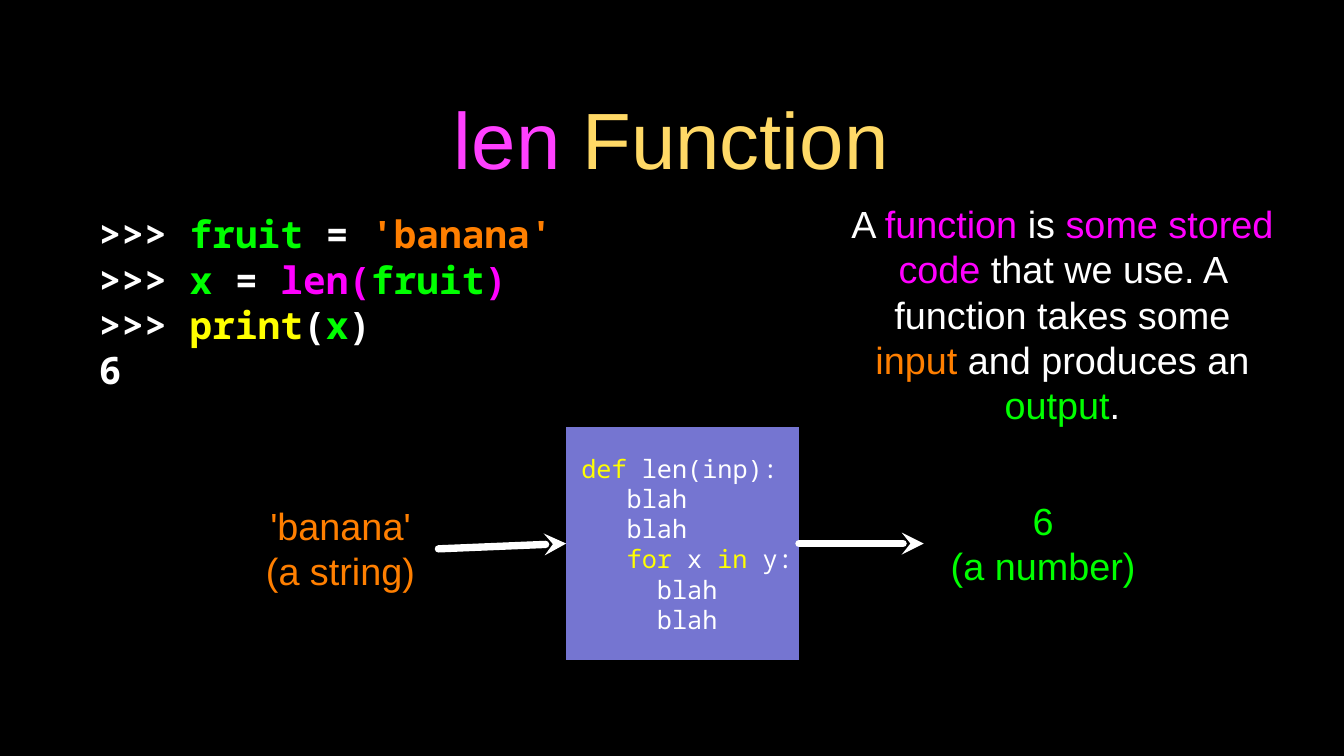
from lxml import etree
from pptx import Presentation
from pptx import util as u
from pptx.dml.color import RGBColor
from pptx.enum import shapes, text
from pptx.oxml.ns import qn

BLACK = RGBColor(0x00, 0x00, 0x00)
WHITE = RGBColor(0xFF, 0xFF, 0xFF)
PINK = RGBColor(0xFF, 0x40, 0xFF)
GOLD = RGBColor(0xFF, 0xD9, 0x66)
PURPLE = RGBColor(0x75, 0x75, 0xD1)
YELLOW = RGBColor(0xFF, 0xFF, 0x00)
ORANGE = RGBColor(0xFF, 0x7F, 0x00)
GREEN = RGBColor(0x00, 0xFF, 0x00)
MAGENTA = RGBColor(0xFF, 0x00, 0xFF)

SANS = "Arial"
MONO = "Noto Sans Mono"
LEFT = text.PP_ALIGN.LEFT
CENTER = text.PP_ALIGN.CENTER


def write(sp, lines, size=36, font=SANS, bold=False, align=CENTER,
          inset=0, indents=None, leading=1.2):
    tf = sp.text_frame
    tf.word_wrap = True
    tf.vertical_anchor = text.MSO_ANCHOR.MIDDLE
    tf.margin_left = tf.margin_right = u.Inches(inset)
    tf.margin_top = tf.margin_bottom = u.Inches(inset)
    for i, line in enumerate(lines):
        p = tf.paragraphs[0] if i == 0 else tf.add_paragraph()
        p.alignment = align
        p.line_spacing = u.Pt(round(size * leading, 1))
        if indents:
            pPr = p._p.get_or_add_pPr()
            pPr.set("marL", str(u.Inches(indents[i])))
            pPr.set("indent", "0")
        for words, color in line:
            r = p.add_run()
            r.text = words
            r.font.name = font
            r.font.size = u.Pt(size)
            r.font.bold = bold
            r.font.color.rgb = color


class Deck:
    def __init__(self, prs):
        self.slide = prs.slides.add_slide(prs.slide_layouts[6])
        fill = self.slide.background.fill
        fill.solid()
        fill.fore_color.rgb = BLACK

    def label(self, box, lines, **style):
        sp = self.slide.shapes.add_textbox(*map(u.Inches, box))
        write(sp, lines, **style)
        return sp

    def block(self, box, fill, lines, **style):
        sp = self.slide.shapes.add_shape(
            shapes.MSO_SHAPE.RECTANGLE, *map(u.Inches, box))
        sp.shadow.inherit = False
        sp.fill.solid()
        sp.fill.fore_color.rgb = fill
        sp.line.fill.background()
        write(sp, lines, **style)
        return sp

    def arrow(self, start, end, source=None, target=None):
        cx = self.slide.shapes.add_connector(
            shapes.MSO_CONNECTOR.STRAIGHT, *map(u.Inches, start + end))
        if source:
            cx.begin_connect(source, 3)
        if target:
            cx.end_connect(target, 1)
        cx.line.color.rgb = WHITE
        cx.line.width = u.Pt(7)
        ln = cx.line._get_or_add_ln()
        ln.set("cap", "rnd")
        etree.SubElement(ln, qn("a:round"))
        etree.SubElement(ln, qn("a:tailEnd"), type="stealth")
        etree.SubElement(cx._element.spPr, qn("a:effectLst"))


def main():
    prs = Presentation()
    prs.slide_width, prs.slide_height = u.Inches(17.78), u.Inches(10)
    s = Deck(prs)

    s.label((1.26, 0.91, 15.24, 1.87),
            [[("len ", PINK), ("Function", GOLD)]],
            size=76, inset=0.04, leading=1.15)

    blah = [("blah", WHITE)]
    body = s.block(
        (7.49, 5.65, 3.08, 3.08), PURPLE,
        [[("def ", YELLOW), ("len(inp):", WHITE)],
         blah,
         blah,
         [("for", YELLOW), (" x ", WHITE), ("in", YELLOW), (" y:", WHITE)],
         blah,
         blah],
        size=24, font=MONO, align=LEFT,
        indents=[0.2, 0.8, 0.8, 0.8, 1.2, 1.2])

    s.arrow((5.8, 7.26), (7.49, 7.19), target=body)
    s.arrow((10.57, 7.19), (12.22, 7.19), source=body)

    s.label((3.51, 6.64, 1.99, 1.21),
            [[("'banana'", ORANGE)], [("(a string)", ORANGE)]])
    s.label((12.51, 6.56, 2.58, 1.25),
            [[("6", GREEN)], [("(a number)", GREEN)]])

    s.label((11.25, 2.96, 5.61, 2.39),
            [[("A ", WHITE), ("function", MAGENTA), (" is ", WHITE),
              ("some stored code", MAGENTA),
              (" that we use. A function takes some ", WHITE),
              ("input", ORANGE), (" and produces an ", WHITE),
              ("output", GREEN), (".", WHITE)]])

    prompt = (">>> ", WHITE)
    s.label((1.31, 2.78, 6.17, 2.42),
            [[prompt, ("fruit ", GREEN), ("=", WHITE), (" 'banana'", ORANGE)],
             [prompt, ("x ", GREEN), ("= ", WHITE), ("len(", MAGENTA),
              ("fruit", GREEN), (")", MAGENTA)],
             [prompt, ("print", YELLOW), ("(", WHITE), ("x", GREEN),
              (")", WHITE)],
             [("6", WHITE)]],
            font=MONO, bold=True, align=LEFT)

    prs.save("out.pptx")


if __name__ == "__main__":
    main()
